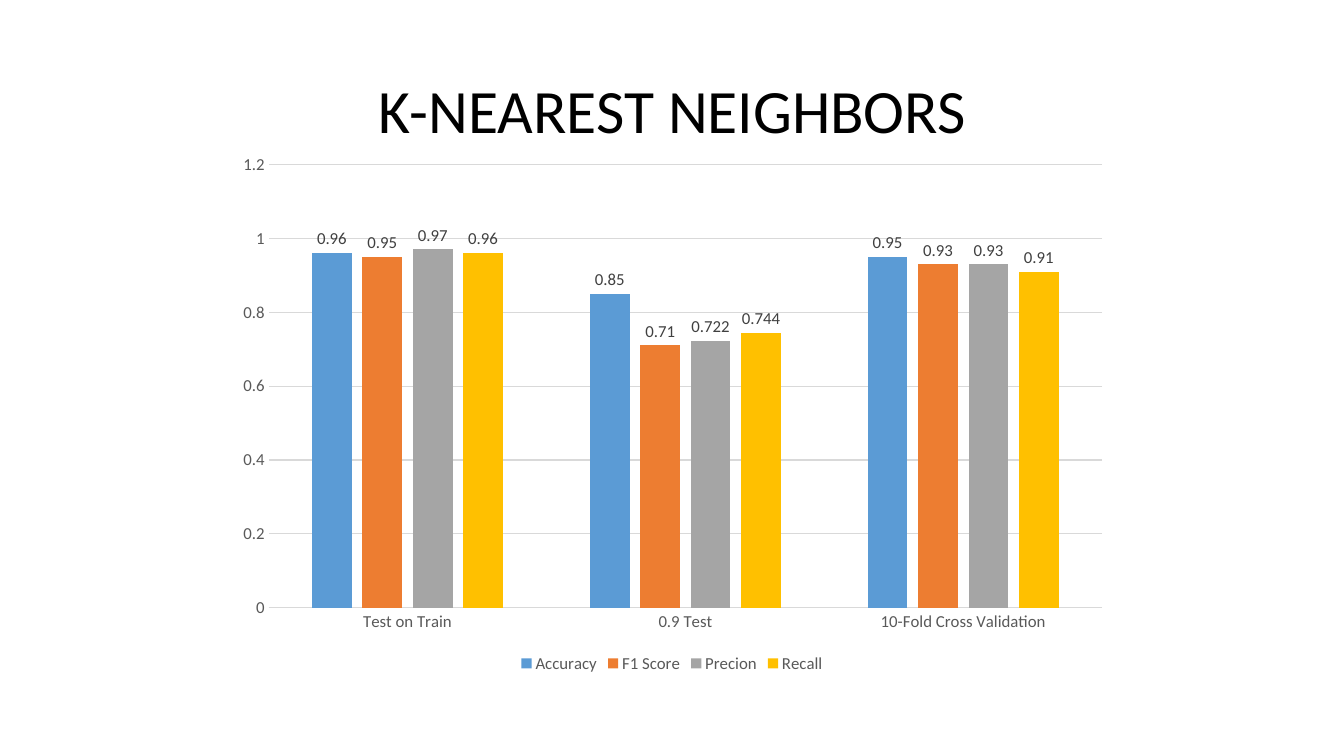
from lxml import etree
from pptx import Presentation
from pptx.chart.data import CategoryChartData
from pptx.dml.color import RGBColor
from pptx.enum.chart import XL_CHART_TYPE, XL_LABEL_POSITION, XL_LEGEND_POSITION, XL_TICK_MARK
from pptx.enum.text import MSO_ANCHOR, PP_ALIGN
from pptx.oxml.ns import qn
from pptx.util import Inches, Pt

COLUMNS = XL_CHART_TYPE.COLUMN_CLUSTERED
OUTSIDE_END = XL_LABEL_POSITION.OUTSIDE_END
BOTTOM = XL_LEGEND_POSITION.BOTTOM
NO_TICK = XL_TICK_MARK.NONE
MIDDLE = MSO_ANCHOR.MIDDLE
CENTER = PP_ALIGN.CENTER

FONT = "Calibri"
COLORS = {
    "title": "000000", "axis": "595959", "label": "404040", "grid": "D9D9D9",
    "Accuracy": "5B9BD5", "F1 Score": "ED7D31", "Precion": "A5A5A5", "Recall": "FFC000",
}
CATEGORIES = ["Test on Train", "0.9 Test", "10-Fold Cross Validation"]
SCORES = {
    "Accuracy": (0.96, 0.85, 0.95),
    "F1 Score": (0.95, 0.71, 0.93),
    "Precion": (0.97, 0.722, 0.93),
    "Recall": (0.96, 0.744, 0.91),
}


def rgb(name):
    return RGBColor.from_string(COLORS[name])


def format_font(font, size=12, color="axis"):
    font.name = FONT
    font.size = Pt(size)
    font.bold = False
    font.color.rgb = rgb(color)


def write_text(frame, text, size=12, color="title", align=CENTER, spacing=0.9):
    para = frame.paragraphs[0]
    para.alignment = align
    para.line_spacing = spacing
    span = para.add_run()
    span.text = text
    format_font(span.font, size, color)


class SlideBuilder:
    def __init__(self, deck):
        self.page = deck.slides.add_slide(deck.slide_layouts[5])

    def title(self, text, left, top, width, height):
        box = self.page.shapes.title
        box.left, box.top = Inches(left), Inches(top)
        box.width, box.height = Inches(width), Inches(height)
        box.text_frame.vertical_anchor = MIDDLE
        write_text(box.text_frame, text, size=44)

    def column_chart(self, categories, scores, left, top, width, height, plot_area):
        data = CategoryChartData()
        data.categories = categories
        for name, values in scores.items():
            data.add_series(name, values)
        chart = self.page.shapes.add_chart(
            COLUMNS, Inches(left), Inches(top), Inches(width), Inches(height), data).chart
        chart.has_title = False
        format_font(chart.font)
        self.style_axes(chart)
        self.style_series(chart.plots[0])
        self.place_plot(chart, plot_area)
        chart.has_legend = True
        chart.legend.position = BOTTOM
        chart.legend.include_in_layout = False
        format_font(chart.legend.font)

    def style_line(self, line):
        line.color.rgb = rgb("grid")
        line.width = Pt(0.75)

    def style_axes(self, chart):
        for axis in (chart.category_axis, chart.value_axis):
            axis.major_tick_mark = axis.minor_tick_mark = NO_TICK
            format_font(axis.tick_labels.font)
        self.style_line(chart.category_axis.format.line)
        scale = chart.value_axis
        scale.minimum_scale, scale.maximum_scale, scale.major_unit = 0, 1.2, 0.2
        scale.format.line.fill.background()
        self.style_line(scale.major_gridlines.format.line)

    def style_series(self, plot):
        plot.gap_width, plot.overlap = 219, -27
        plot.vary_by_categories = False
        for series in plot.series:
            series.format.fill.solid()
            series.format.fill.fore_color.rgb = rgb(series.name)
            labels = series.data_labels
            labels.show_value = True
            labels.position = OUTSIDE_END
            format_font(labels.font, color="label")

    def place_plot(self, chart, fractions):
        """Fix the inner plot area as fractions of the chart frame."""
        area = chart.plots[0].series[0].format  # ensures series formatting exists
        area = chart.element.find(".//" + qn("c:plotArea"))
        for layout in area.findall(qn("c:layout")):
            area.remove(layout)
        layout = etree.Element(qn("c:layout"))
        manual = etree.SubElement(layout, qn("c:manualLayout"))
        settings = [("layoutTarget", "inner"), ("xMode", "edge"), ("yMode", "edge")]
        for tag, value in settings + list(zip("xywh", fractions)):
            etree.SubElement(manual, qn("c:" + tag)).set("val", str(value))
        area.insert(0, layout)


deck = Presentation()
deck.slide_width, deck.slide_height = Inches(13.33), Inches(7.5)
slide = SlideBuilder(deck)

# Title
slide.title("K-NEAREST NEIGHBORS", 0.92, 0.4, 11.5, 1.45)

# Scores by evaluation method
slide.column_chart(CATEGORIES, SCORES, 2.22, 1.42, 8.89, 5.3, plot_area=(0.05, 0.04, 0.93, 0.83))

deck.save("out.pptx")
